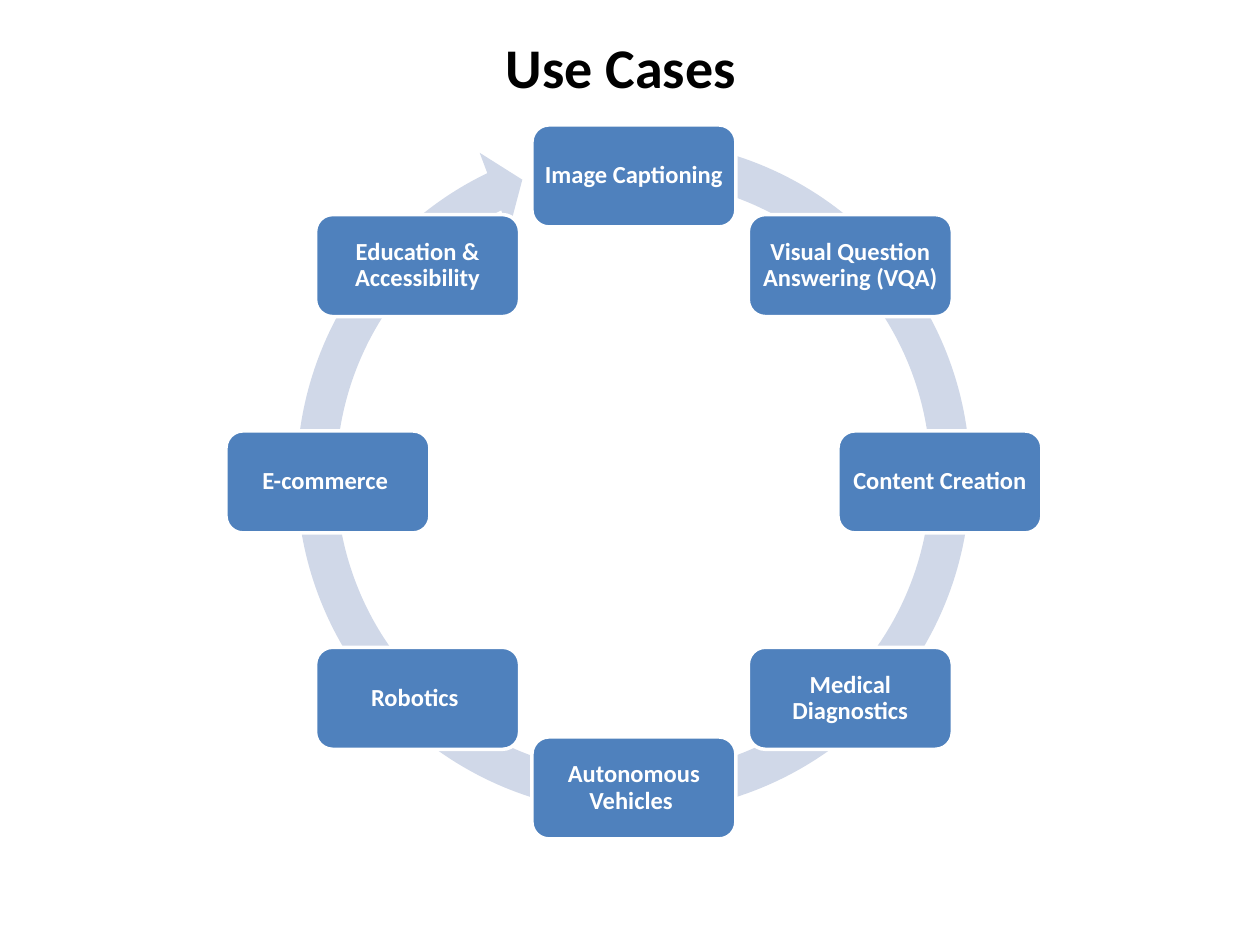
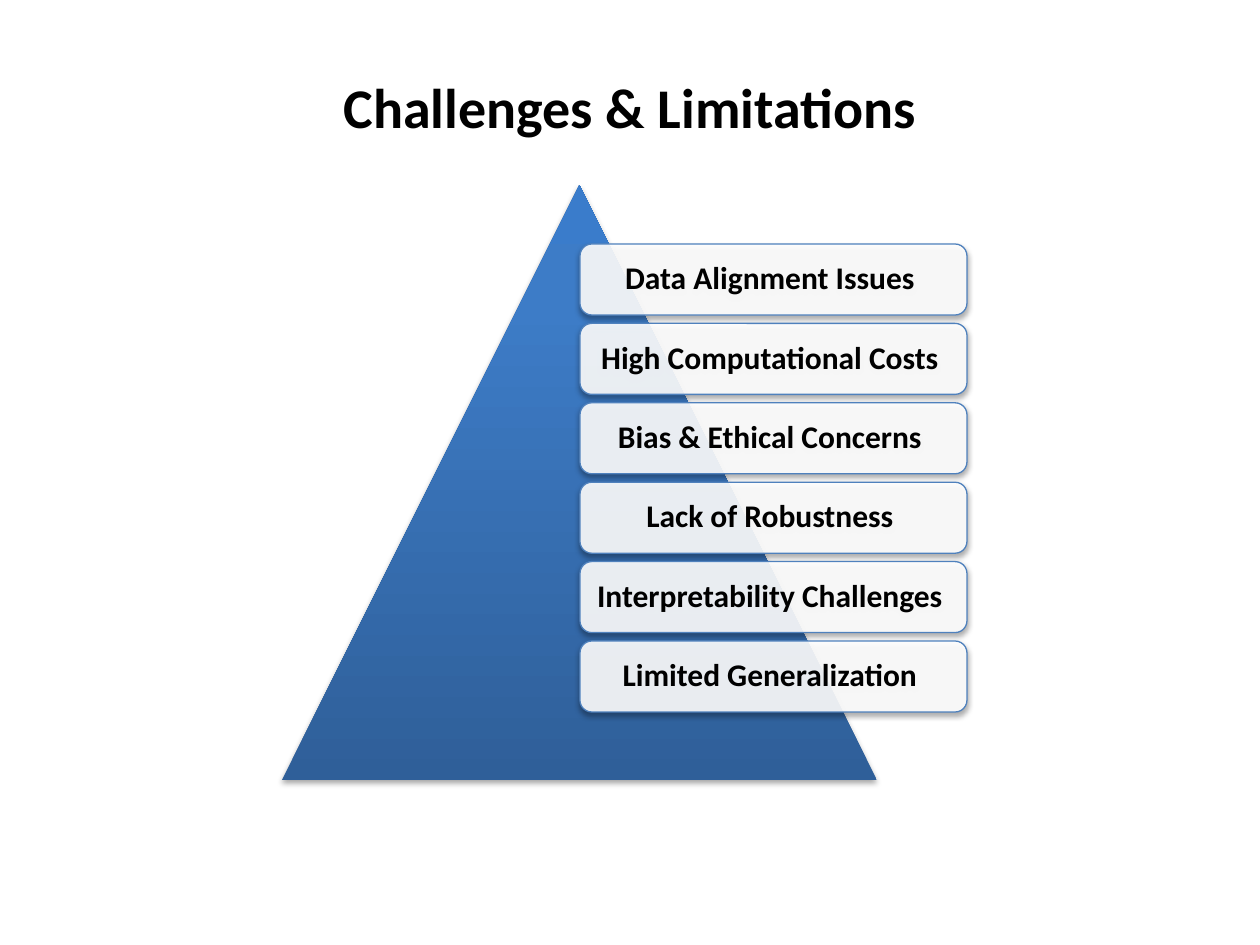
"""Build two slides: a cycle of use cases and a pyramid of challenges."""
import copy
import dataclasses
import math

import lxml.etree
import pptx
import pptx.dml.color
import pptx.enum.shapes
import pptx.enum.text
import pptx.oxml.ns
import pptx.util

USE_CASES = {
    "title": "Use Cases",
    "title_at": (54, 16, 1134, 100),
    "ring_at": (275, 118, 717, 717),
    "ring_adjustments": (0.055, 3.307, 146.373, 168.81, 0.058),
    "center": (634, 482),
    "radius": 306,
    "step_size": (204, 102),
    "steps": [
        "Image Captioning ",
        "Visual Question Answering (VQA)",
        "Content Creation",
        "Medical Diagnostics",
        "Autonomous Vehicles ",
        "Robotics ",
        "E-commerce ",
        "Education & Accessibility",
    ],
}
CHALLENGES = {
    "title": "Challenges & Limitations",
    "title_at": (63, 38, 1134, 137),
    "pyramid_at": (282, 185, 595, 595),
    "left": 580,
    "first_top": 244,
    "last_top": 641,
    "label_size": (387, 71),
    "labels": [
        "Data Alignment Issues ",
        "High Computational Costs ",
        "Bias & Ethical Concerns ",
        "Lack of Robustness ",
        "Interpretability Challenges ",
        "Limited Generalization ",
    ],
}


@dataclasses.dataclass(frozen=True)
class Theme:
    """Colours, type sizes and effects of both slides."""
    font: str = "Calibri"
    title_size: int = 32
    step_size: int = 14
    label_size: int = 18
    ink: str = "000000"
    paper: str = "FFFFFF"
    accent: str = "4F81BD"
    ring: str = "D0D8E8"
    pyramid: tuple = ((0, "2F5F99"), (0.8, "3D7CC7"), (1, "3A7CCB"))
    label_alpha: int = 90
    shadow_alpha: int = 35
    shadow_blur: float = 3.1
    shadow_distance: float = 1.8


THEME = Theme()
SHAPES = pptx.enum.shapes.MSO_SHAPE


def px(length):
    """Turn px into EMU."""
    return pptx.util.Emu(round(length * 914400 / 126))


def rgb(color):
    """Turn a hex string into a colour."""
    return pptx.dml.color.RGBColor.from_string(color)


def add_element(parent, tag, **attributes):
    """Append a drawing element with the given attributes."""
    return lxml.etree.SubElement(
        parent, pptx.oxml.ns.qn(tag), {key: str(value) for key, value in attributes.items()})


def write(holder, text, size, color, inset=None, spacing=None):
    """Write one centred bold paragraph in the middle of a shape."""
    frame = holder.text_frame
    frame.word_wrap = True
    frame.vertical_anchor = pptx.enum.text.MSO_ANCHOR.MIDDLE
    if inset is not None:
        frame.margin_left = frame.margin_right = px(inset)
        frame.margin_top = frame.margin_bottom = px(inset)
    paragraph = frame.paragraphs[0]
    paragraph.alignment = pptx.enum.text.PP_ALIGN.CENTER
    if spacing:
        paragraph.line_spacing = spacing
    run = paragraph.add_run()
    run.text = text
    run.font.name = THEME.font
    run.font.size = pptx.util.Pt(size)
    run.font.bold = True
    run.font.color.rgb = rgb(color)


def add_figure(slide, preset, at, fill=None, line=None, line_width=0):
    """Add a flat preset shape."""
    figure = slide.shapes.add_shape(preset, *map(px, at))
    figure.shadow.inherit = False
    if fill:
        figure.fill.solid()
        figure.fill.fore_color.rgb = rgb(fill)
    if line:
        figure.line.color.rgb = rgb(line)
        figure.line.width = pptx.util.Pt(line_width)
    else:
        figure.line.fill.background()
    return figure


def cast_shadow(figure):
    """Give a shape the soft shadow of the theme."""
    effects = figure.element.spPr.find(pptx.oxml.ns.qn("a:effectLst"))
    shadow = add_element(
        effects, "a:outerShdw",
        blurRad=int(pptx.util.Pt(THEME.shadow_blur)),
        dist=int(pptx.util.Pt(THEME.shadow_distance)),
        dir=90 * 60000, rotWithShape=0)
    color = add_element(shadow, "a:srgbClr", val=THEME.ink)
    add_element(color, "a:alpha", val=THEME.shadow_alpha * 1000)


def add_titled_slide(deck, content):
    """Add a blank slide with its title."""
    slide = deck.slides.add_slide(deck.slide_layouts[6])
    title = slide.shapes.add_textbox(*map(px, content["title_at"]))
    write(title, content["title"], THEME.title_size, THEME.ink)
    return slide


def build_use_cases(deck):
    """Place the use cases clockwise on a circular arrow."""
    content = USE_CASES
    slide = add_titled_slide(deck, content)
    ring = add_figure(slide, SHAPES.CIRCULAR_ARROW, content["ring_at"], THEME.ring)
    for index, value in enumerate(content["ring_adjustments"]):
        ring.adjustments[index] = value
    center_x, center_y = content["center"]
    width, height = content["step_size"]
    for index, text in enumerate(content["steps"]):
        angle = math.tau * index / len(content["steps"])
        left = center_x + content["radius"] * math.sin(angle) - width / 2
        top = center_y - content["radius"] * math.cos(angle) - height / 2
        step = add_figure(slide, SHAPES.ROUNDED_RECTANGLE, (left, top, width, height),
                          THEME.accent, THEME.paper, 2)
        write(step, text, THEME.step_size, THEME.paper, inset=7, spacing=0.9)


def build_challenges(deck):
    """Stack the challenges over a shaded pyramid."""
    content = CHALLENGES
    slide = add_titled_slide(deck, content)
    pyramid = add_figure(slide, SHAPES.ISOSCELES_TRIANGLE, content["pyramid_at"])
    pyramid.fill.gradient()
    pyramid.fill.gradient_angle = 90
    stops = next(pyramid.element.spPr.iter(pptx.oxml.ns.qn("a:gsLst")))
    stops.append(copy.deepcopy(stops[-1]))
    for stop, (position, color) in zip(pyramid.fill.gradient_stops, THEME.pyramid):
        stop.position = position
        stop.color.rgb = rgb(color)
    cast_shadow(pyramid)
    pitch = (content["last_top"] - content["first_top"]) / (len(content["labels"]) - 1)
    for index, text in enumerate(content["labels"]):
        at = (content["left"], content["first_top"] + index * pitch, *content["label_size"])
        label = add_figure(slide, SHAPES.ROUNDED_RECTANGLE, at, THEME.paper, THEME.accent, 0.75)
        paint = label.element.spPr.find(pptx.oxml.ns.qn("a:solidFill"))[0]
        add_element(paint, "a:alpha", val=THEME.label_alpha * 1000)
        cast_shadow(label)
        write(label, text, THEME.label_size, THEME.ink, inset=9, spacing=0.9)


def main():
    """Build and save the deck."""
    deck = pptx.Presentation()
    deck.slide_width, deck.slide_height = px(1260), px(945)
    build_use_cases(deck)
    build_challenges(deck)
    deck.save("out.pptx")


if __name__ == "__main__":
    main()
